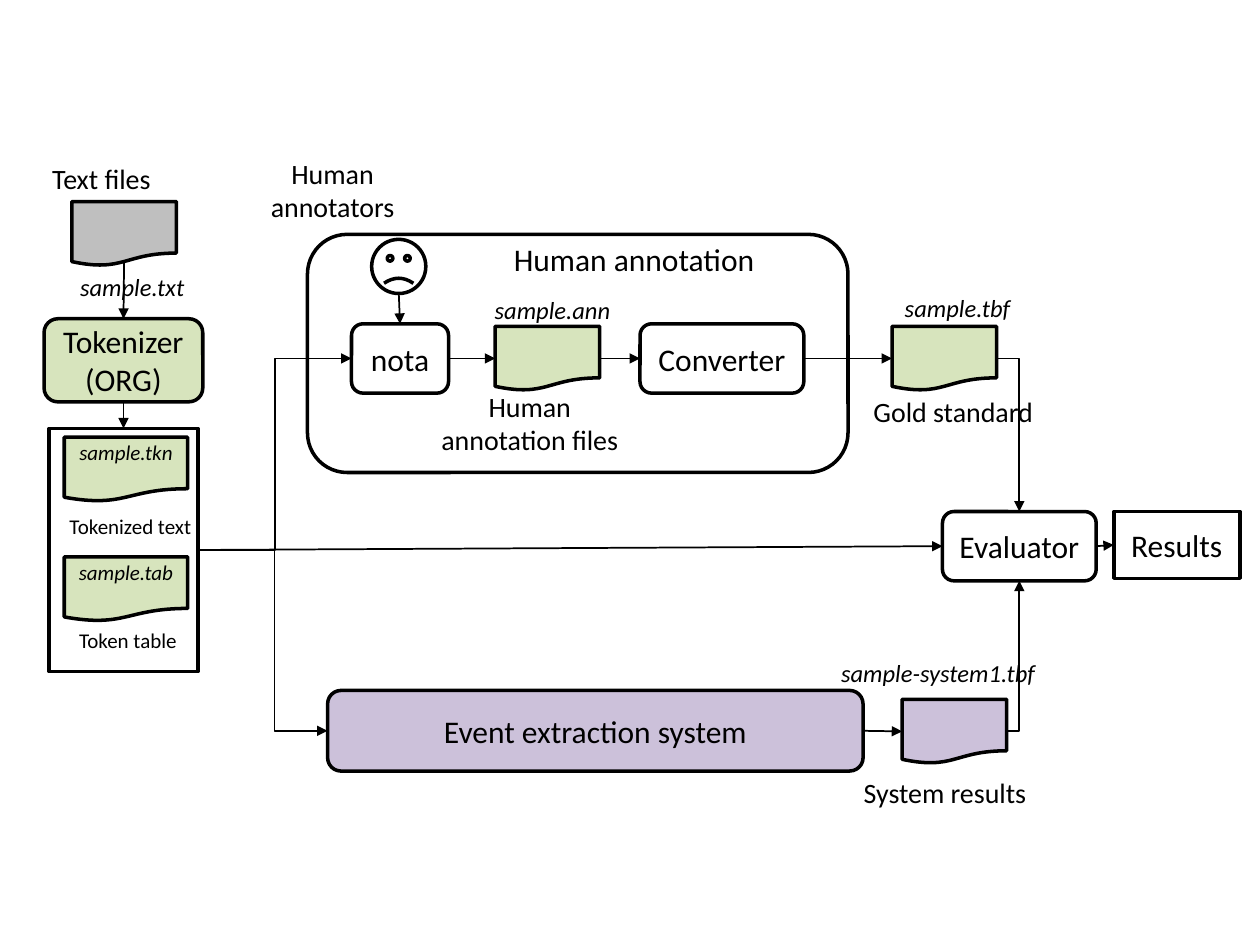
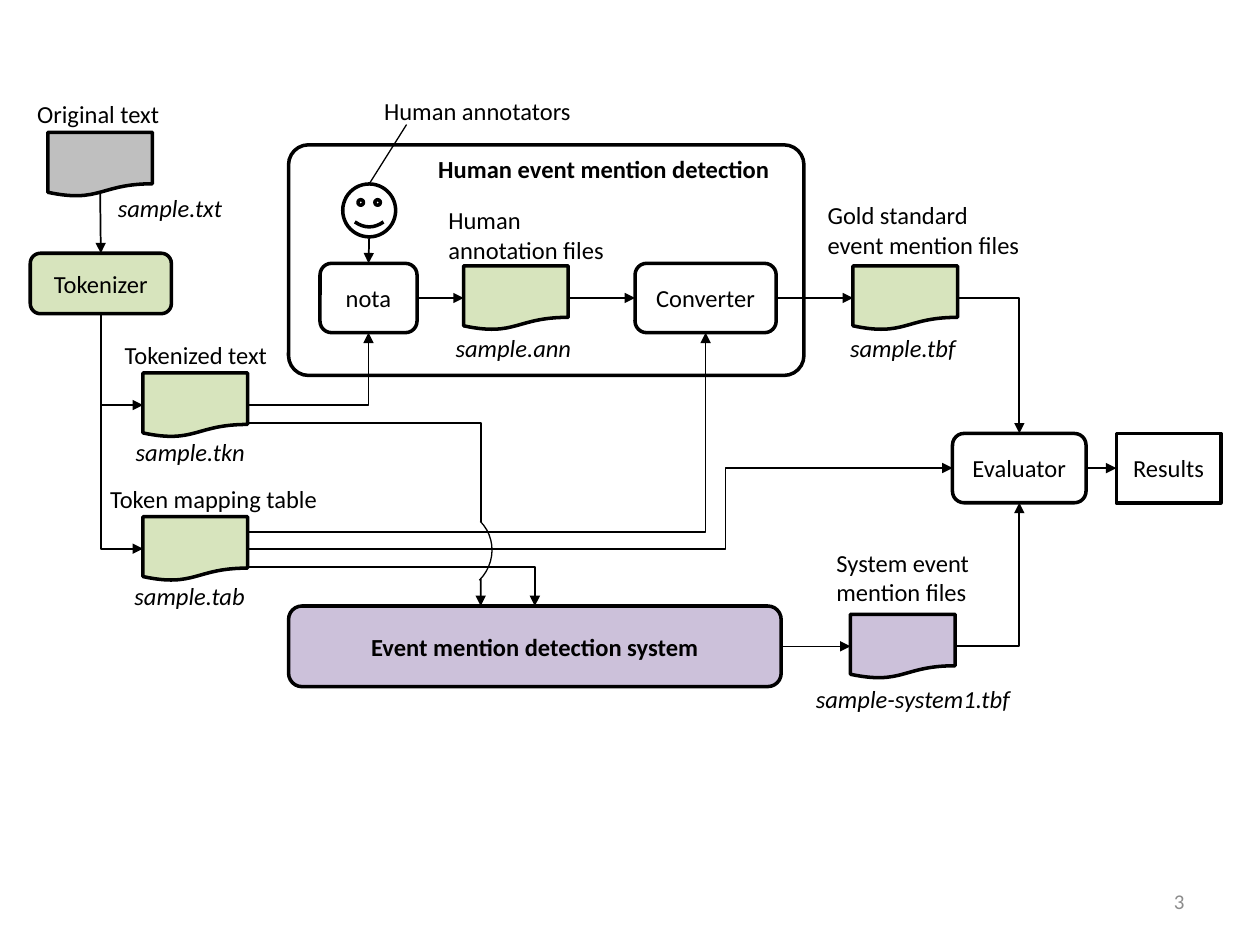
from lxml.etree import SubElement
from pptx import Presentation
from pptx.dml.color import RGBColor
from pptx.enum.shapes import MSO_CONNECTOR as Link, MSO_SHAPE as Shape
from pptx.enum.text import MSO_ANCHOR as Anchor, MSO_AUTO_SIZE as Fit, PP_ALIGN as Align
from pptx.oxml.ns import qn
from pptx.util import Inches, Pt

FONT = "Calibri"
COLORS = {"ink": "000000", "green": "D7E4BD", "gray": "BFBFBF",
          "purple": "CCC1DA", "number": "8C8C8C"}
SHAPES = {"doc": Shape.FLOWCHART_DOCUMENT, "step": Shape.ROUNDED_RECTANGLE,
          "box": Shape.FLOWCHART_PROCESS, "face": Shape.SMILEY_FACE, "arc": Shape.ARC}
ALIGNS = {"left": Align.LEFT, "center": Align.CENTER, "right": Align.RIGHT}
COLUMNS = 100
DOC = (8.3, 5.1)
TOP, BOTTOM, LEFT, RIGHT = (0.5, 0), (0.5, 1), (0, 0.5), (1, 0.5)
WAVE = (0.5, 0.94)
LOWER, UPPER = (1, 0.78), (1, 0.24)
HOP_START, HOP_END, HOP_TARGET = (0.87, 0.15), (0.87, 0.83), (0.39, 0)

OVERVIEW = {
    "size": 18,
    "nodes": [
        ("text", "doc", "gray", (5.7, 16, *DOC), ""),
        ("tokenizer", "step", "green", (3.5, 25.3, 12.6, 6.6), "Tokenizer (ORG)"),
        ("tokens", "doc", "green", (5.1, 34.7, 9.8, 5.1), "sample.tkn"),
        ("table", "doc", "green", (5.1, 44.2, 9.8, 5.1), "sample.tab"),
        ("store", "box", None, (3.9, 34, 11.8, 19.3), ""),
        ("face", "face", None, (29.5, 19, 4.3, 4.3), ""),
        ("editor", "step", None, (27.9, 25.7, 7.7, 5.5), "nota"),
        ("notes", "doc", "green", (39.3, 25.9, *DOC), ""),
        ("converter", "step", None, (50.8, 25.7, 13, 5.5), "Converter"),
        ("gold", "doc", "green", (70.8, 25.9, *DOC), ""),
        ("system", "step", "purple", (26, 54.8, 42.5, 6.4), "Event extraction system"),
        ("output", "doc", "purple", (71.6, 55.5, *DOC), ""),
        ("evaluator", "step", None, (74.8, 40.6, 12.2, 5.5), "Evaluator"),
        ("results", "box", None, (88.4, 40.6, 10, 5.3), "Results"),
        ("frame", "step", None, (24.4, 18.6, 42.9, 18.9), ""),
    ],
    "adjust": {"face": -0.047},
    "links": [
        ("text", WAVE, "tokenizer", TOP, "straight"),
        ("tokenizer", BOTTOM, "store", TOP, "straight"),
        ("face", BOTTOM, "editor", TOP, "straight"),
        ("editor", RIGHT, "notes", LEFT, "straight"),
        ("notes", RIGHT, "converter", LEFT, "straight"),
        ("converter", RIGHT, "gold", LEFT, "straight"),
        ("system", RIGHT, "output", LEFT, "straight"),
        ("evaluator", RIGHT, "results", LEFT, "straight"),
        ("store", RIGHT, "evaluator", LEFT, "straight"),
        ("store", RIGHT, "editor", LEFT, 21.8),
        ("store", RIGHT, "system", LEFT, 21.8),
        ("gold", RIGHT, "evaluator", TOP, "across"),
        ("output", RIGHT, "evaluator", BOTTOM, "across"),
    ],
    "labels": [
        (["Text files"], 16, "center", False, (3.1, 12.3, 9.9, 3.7)),
        (["sample.txt"], 14, "center", False, (5.3, 21.1, 10.4, 3.4)),
        (["Tokenized text"], 12, "center", False, (4.3, 40.3, 12.1, 3)),
        (["Token table"], 12, "center", False, (5.1, 49.3, 10.1, 3)),
        (["Human annotators"], 16, "center", True, (20.1, 11.9, 12.6, 6.4)),
        (["Human annotation"], 18, "left", False, (39.8, 18.6, 21.4, 4)),
        (["sample.ann"], 14, "center", False, (38.2, 22.9, 11.3, 3.4)),
        (["Human", "annotation files"], 16, "center", False, (33.9, 30.4, 16.3, 6.4)),
        (["sample.tbf"], 14, "center", False, (70.5, 22.8, 11, 3.4)),
        (["Gold standard"], 16, "center", False, (68.2, 30.8, 14.9, 3.7)),
        (["sample-system1.tbf"], 14, "center", False, (65.4, 51.7, 18.1, 3.4)),
        (["System results"], 16, "center", False, (67.4, 61.1, 15.2, 3.7)),
    ],
}

DETECTION = {
    "size": 14,
    "nodes": [
        ("text", "doc", "gray", (3.8, 10.5, *DOC), ""),
        ("tokenizer", "step", "green", (2.4, 20.1, 11.2, 4.8), "Tokenizer"),
        ("tokens", "doc", "green", (11.35, 29.6, *DOC), ""),
        ("table", "doc", "green", (11.35, 41, *DOC), ""),
        ("face", "face", None, (27.2, 14.6, 4.2, 4.2), ""),
        ("editor", "step", None, (25.4, 20.9, 7.7, 5.5), "nota"),
        ("notes", "doc", "green", (36.8, 21.1, *DOC), ""),
        ("converter", "step", None, (50.4, 20.9, 11.2, 5.5), "Converter"),
        ("gold", "doc", "green", (67.7, 21.1, *DOC), ""),
        ("system", "step", "purple", (22.9, 48.1, 39.1, 6.4), "Event mention detection system"),
        ("output", "doc", "purple", (67.5, 48.75, *DOC), ""),
        ("evaluator", "step", None, (75.6, 34.4, 10.6, 5.5), "Evaluator"),
        ("results", "box", None, (88.6, 34.4, 8.3, 5.5), "Results"),
        ("frame", "step", None, (22.9, 11.5, 40.9, 18.3), ""),
        ("hop", "arc", None, (32.5, 40.4, 6.5, 6.7), ""),
        ("caller", None, None, (29.5, 7.1, 17.3, 3.4), ""),
    ],
    "adjust": {"frame": 0.086},
    "links": [
        ("text", WAVE, "tokenizer", TOP, "straight"),
        ("face", BOTTOM, "editor", TOP, "straight"),
        ("editor", RIGHT, "notes", LEFT, "straight"),
        ("notes", RIGHT, "converter", LEFT, "straight"),
        ("converter", RIGHT, "gold", LEFT, "straight"),
        ("system", RIGHT, "output", LEFT, "straight"),
        ("evaluator", RIGHT, "results", LEFT, "straight"),
        ("hop", HOP_END, "system", HOP_TARGET, "straight"),
        ("caller", (0.16, 0.82), "face", TOP, "plain"),
        ("tokenizer", BOTTOM, "tokens", LEFT, "down"),
        ("tokenizer", BOTTOM, "table", LEFT, "down"),
        ("tokens", RIGHT, "editor", BOTTOM, "across"),
        ("tokens", LOWER, "hop", HOP_START, "across plain"),
        ("table", UPPER, "converter", BOTTOM, "across"),
        ("table", RIGHT, "evaluator", LEFT, 57.6),
        ("table", LOWER, "system", TOP, "across"),
        ("gold", RIGHT, "evaluator", TOP, "across"),
        ("output", RIGHT, "evaluator", BOTTOM, "across"),
    ],
    "labels": [
        (["Original text"], 14, "center", True, (1.6, 7.4, 12.4, 3.4)),
        (["sample.txt"], 14, "center", False, (8.3, 14.8, 10.4, 3.4)),
        (["Tokenized text"], 14, "center", True, (8.3, 26.5, 14.5, 3.4)),
        (["sample.tkn"], 14, "center", False, (9.7, 34.2, 10.8, 3.4)),
        (["Token mapping table"], 14, "center", True, (7.5, 37.9, 18.9, 3.4)),
        (["sample.tab"], 14, "center", False, (9.6, 45.6, 10.9, 3.4)),
        (["Human annotators"], 14, "left", True, (29.5, 7.1, 17.3, 3.4)),
        (["Human event mention detection"], 14, "left", True, (33.8, 11.7, 28.6, 3.4)),
        (["Human annotation files"], 14, "left", True, (34.6, 15.8, 16.2, 5.7)),
        (["sample.ann"], 14, "center", False, (35.1, 25.9, 11.3, 3.4)),
        (["Gold standard", "event mention files"], 14, "left", False, (64.7, 15.4, 17.4, 5.7)),
        (["sample.tbf"], 14, "center", False, (66.4, 25.9, 10.5, 3.4)),
        (["System event", "mention files"], 14, "left", False, (65.4, 43, 12.7, 5.7)),
        (["sample-system1.tbf"], 14, "center", False, (63.4, 53.8, 18.1, 3.4)),
    ],
    "number": "3",
}
BOLD = {"Human event mention detection", "Event mention detection system"}

deck = Presentation()
deck.slide_width, deck.slide_height = Inches(10), Inches(7.5)
CELL = deck.slide_width // COLUMNS


def grid(lengths):
    return [round(length * CELL) for length in lengths]


def color(name):
    return RGBColor.from_string(COLORS[name])


def write(frame, lines, size, align="center", ink="ink"):
    for index, line in enumerate(lines):
        para = frame.paragraphs[0] if index == 0 else frame.add_paragraph()
        para.alignment = ALIGNS[align]
        span = para.add_run()
        span.text = line
        span.font.name, span.font.size = FONT, Pt(size)
        span.font.color.rgb = color(ink)
        span.font.italic = line.startswith("sample")
        span.font.bold = line in BOLD


def add_node(page, kind, fill, place, text, size, adjust):
    node = page.shapes.add_shape(SHAPES[kind], *grid(place))
    node.shadow.inherit = False
    if fill:
        node.fill.solid()
        node.fill.fore_color.rgb = color(fill)
    else:
        node.fill.background()
    node.line.color.rgb = color("ink")
    node.line.width = Pt(0.75 if kind == "arc" else 2)
    if kind == "arc":
        node.rotation = 45
    if adjust is not None:
        node.adjustments[0] = adjust
    if text:
        frame = node.text_frame
        frame.word_wrap = True
        frame.vertical_anchor = Anchor.MIDDLE
        if kind == "doc":
            frame.vertical_anchor, frame.margin_top = Anchor.TOP, Inches(0.02)
            size = 12
        write(frame, [text], size)


def add_label(page, lines, size, align, wrap, place):
    box = page.shapes.add_textbox(*grid(place))
    box.text_frame.word_wrap = wrap
    box.text_frame.auto_size = Fit.SHAPE_TO_FIT_TEXT
    write(box.text_frame, lines, size, align)


def port(place, share):
    left, top, width, height = place
    return left + width * share[0], top + height * share[1]


def add_link(page, start, end, route):
    words = route.split() if isinstance(route, str) else ["step"]
    arrow_end = "tailEnd"
    if "down" in words:
        start, end, arrow_end = end, start, "headEnd"
    bent = words[0] in ("across", "down", "step")
    link = page.shapes.add_connector(Link.ELBOW if bent else Link.STRAIGHT,
                                     *grid([*start, *end]))
    link.line.color.rgb = color("ink")
    link.line.width = Pt(0.75 if route == "plain" else 1)
    shape = link.element.spPr
    geometry = shape.find(qn("a:prstGeom"))
    if words[0] == "step":
        share = (route - start[0]) / (end[0] - start[0])
        values = geometry.find(qn("a:avLst"))
        SubElement(values, qn("a:gd"), name="adj1", fmla=f"val {round(share * 100000)}")
    elif bent:
        geometry.set("prst", "bentConnector2")
    if "plain" not in words:
        SubElement(shape.find(qn("a:ln")), qn("a:" + arrow_end), type="triangle")
    SubElement(shape, qn("a:effectLst"))


def add_page(content):
    page = deck.slides.add_slide(deck.slide_layouts[6])
    places = {}
    for name, kind, fill, place, text in content["nodes"]:
        places[name] = place
        if kind:
            add_node(page, kind, fill, place, text, content["size"],
                     content["adjust"].get(name))
    for source, leave, target, enter, route in content["links"]:
        add_link(page, port(places[source], leave), port(places[target], enter), route)
    for label in content["labels"]:
        add_label(page, *label)
    if "number" in content:
        box = page.shapes.add_textbox(*grid((71.7, 69.5, 23.3, 4)))
        box.text_frame.word_wrap = True
        box.text_frame.vertical_anchor = Anchor.MIDDLE
        write(box.text_frame, [content["number"]], 12, "right", "number")


for content in (OVERVIEW, DETECTION):
    add_page(content)
deck.save("out.pptx")
